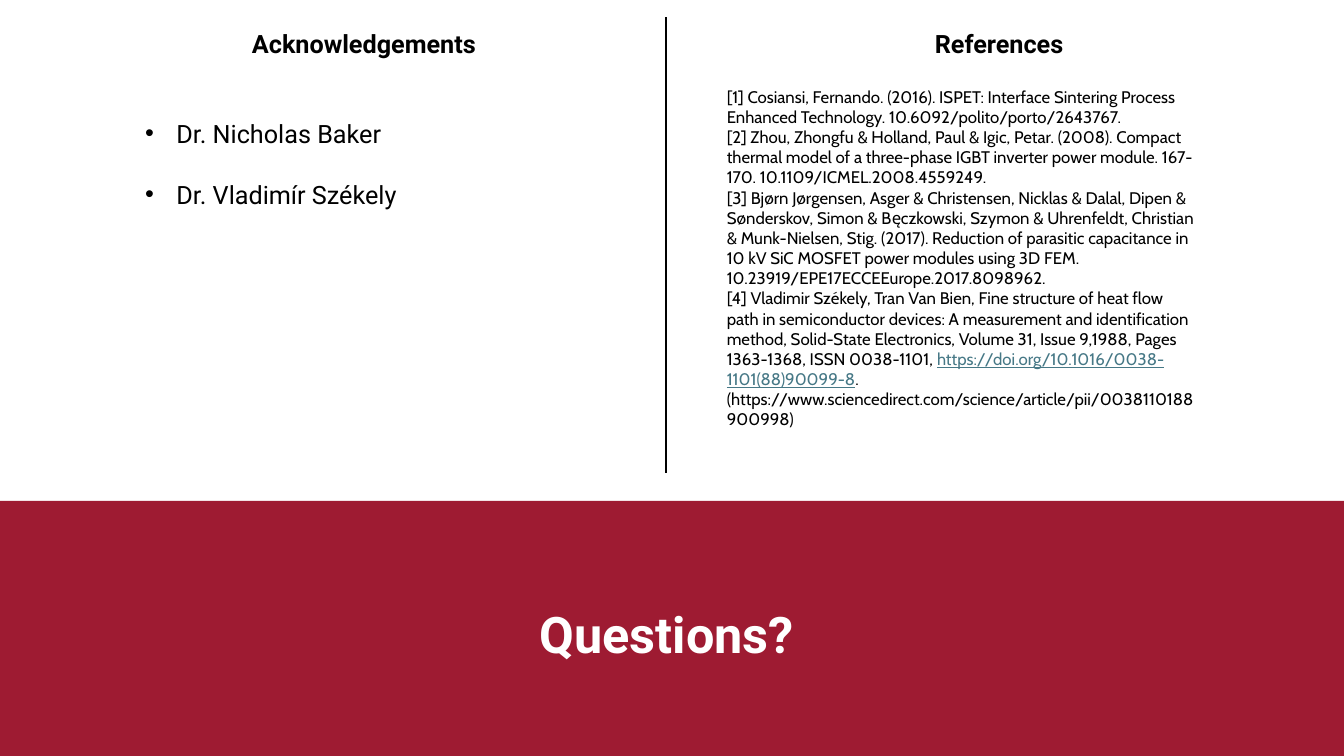
import pptx
import pptx.util
from lxml import etree
from pptx.dml.color import RGBColor
from pptx.enum.shapes import MSO_CONNECTOR, MSO_SHAPE
from pptx.enum.text import PP_ALIGN
from pptx.oxml.ns import qn
from pptx.util import Inches, Pt

CRIMSON = RGBColor(0x9E, 0x1B, 0x32)
BLACK = RGBColor(0, 0, 0)
WHITE = RGBColor(0xFF, 0xFF, 0xFF)
LINK_TEAL = RGBColor(0x46, 0x78, 0x86)

SLIDE_WIDTH, SLIDE_HEIGHT = 13.33, 7.5
BAND_TOP = 4.97
DIVIDER_X, DIVIDER_TOP, DIVIDER_BOTTOM = 6.61, 0.17, 4.69
HEADING_TOP, HEADING_WIDTH, HEADING_HEIGHT = 0.23, 4.46, 0.4
BULLET_INDENT = 0.31

HEADINGS = [("Acknowledgements", 1.38), ("References", 7.68)]
PEOPLE = ["Dr. Nicholas Baker", "Dr. Vladimír Székely"]
DOI_LINK = "https://doi.org/10.1016/0038-1101(88)90099-8"
# Each reference is a list of text pieces
REFERENCES = [
    ["[1] Cosiansi, Fernando. (2016). ISPET: Interface Sintering Process Enhanced "
     "Technology. 10.6092/polito/porto/2643767."],
    ["[2] Zhou, Zhongfu & Holland, Paul & Igic, Petar. (2008). Compact thermal model "
     "of a three-phase IGBT inverter power module. 167-170. 10.1109/ICMEL.2008.4559249."],
    ["[3] Bjørn Jørgensen, Asger & Christensen, Nicklas & Dalal, Dipen & Sønderskov, "
     "Simon & Bęczkowski, Szymon & Uhrenfeldt, Christian & Munk-Nielsen, Stig. (2017). "
     "Reduction of parasitic capacitance in 10 kV SiC MOSFET power modules using 3D FEM. "
     "10.23919/EPE17ECCEEurope.2017.8098962."],
    ["[4] Vladimir Székely, Tran Van Bien, Fine structure of heat flow path in "
     "semiconductor devices: A measurement and identification method, Solid-State "
     "Electronics, Volume 31, Issue 9,1988, Pages 1363-1368, ISSN 0038-1101, ",
     DOI_LINK,
     ". (https://www.sciencedirect.com/science/article/pii/0038110188900998)"],
]
CLOSING = "Questions?"

HEADING_FONT = {"name": "Roboto", "size": Pt(18), "bold": True}
PEOPLE_FONT = {"name": "Roboto", "size": Pt(18)}
REFERENCE_FONT = {"name": "Cabin", "size": Pt(12)}
LINK_FONT = {**REFERENCE_FONT, "underline": True}
CLOSING_FONT = {"name": "Roboto", "size": Pt(36), "bold": True}


def add_run(paragraph, text, font_format, color):
    run = paragraph.add_run()
    run.text = text
    for attribute, value in font_format.items():
        setattr(run.font, attribute, value)
    run.font.color.rgb = color


def add_paragraphs(slide, box, paragraphs, font_format, color=BLACK, align=PP_ALIGN.LEFT):
    """Add a text box of paragraphs, each a list of pieces; return its paragraphs."""
    frame = slide.shapes.add_textbox(*map(Inches, box)).text_frame
    frame.word_wrap = True
    for index, pieces in enumerate(paragraphs):
        paragraph = frame.add_paragraph() if index else frame.paragraphs[0]
        paragraph.alignment = align
        for piece in pieces:
            add_run(paragraph, piece, LINK_FONT if piece == DOI_LINK else font_format,
                    LINK_TEAL if piece == DOI_LINK else color)
    return frame.paragraphs


def add_bullet(paragraph):
    properties = paragraph._p.get_or_add_pPr()
    properties.set("marL", str(Inches(BULLET_INDENT)))
    properties.set("indent", str(-Inches(BULLET_INDENT)))
    etree.SubElement(properties, qn("a:buFont")).set("typeface", "Arial")
    etree.SubElement(properties, qn("a:buChar")).set("char", "•")


def main():
    deck = pptx.Presentation()
    deck.slide_width, deck.slide_height = Inches(SLIDE_WIDTH), Inches(SLIDE_HEIGHT)
    slide = deck.slides.add_slide(deck.slide_layouts[6])

    band = slide.shapes.add_shape(
        MSO_SHAPE.RECTANGLE, 0, Inches(BAND_TOP),
        Inches(SLIDE_WIDTH), Inches(SLIDE_HEIGHT - BAND_TOP))
    band.shadow.inherit = False
    band.fill.solid()
    band.fill.fore_color.rgb = CRIMSON
    band.line.fill.background()

    divider = slide.shapes.add_connector(
        MSO_CONNECTOR.STRAIGHT, Inches(DIVIDER_X), Inches(DIVIDER_TOP),
        Inches(DIVIDER_X), Inches(DIVIDER_BOTTOM))
    divider.line.color.rgb = BLACK
    divider.line.width = Pt(1.5)
    etree.SubElement(divider._element.spPr, qn("a:effectLst"))

    for heading, left in HEADINGS:
        add_paragraphs(slide, (left, HEADING_TOP, HEADING_WIDTH, HEADING_HEIGHT),
                       [[heading]], HEADING_FONT, align=PP_ALIGN.CENTER)

    people = add_paragraphs(slide, (1.34, 1.12, 3.91, 1.31),
                            [[person] for person in PEOPLE], PEOPLE_FONT)
    for index, person in enumerate(people):
        if index:
            person.space_before = Pt(22)
        add_bullet(person)

    add_paragraphs(slide, (7.11, 0.81, 4.88, 3.84), REFERENCES, REFERENCE_FONT)
    add_paragraphs(slide, (3.28, 5.93, 6.67, 0.71), [[CLOSING]], CLOSING_FONT,
                   WHITE, PP_ALIGN.CENTER)

    deck.save("out.pptx")


if __name__ == "__main__":
    main()
